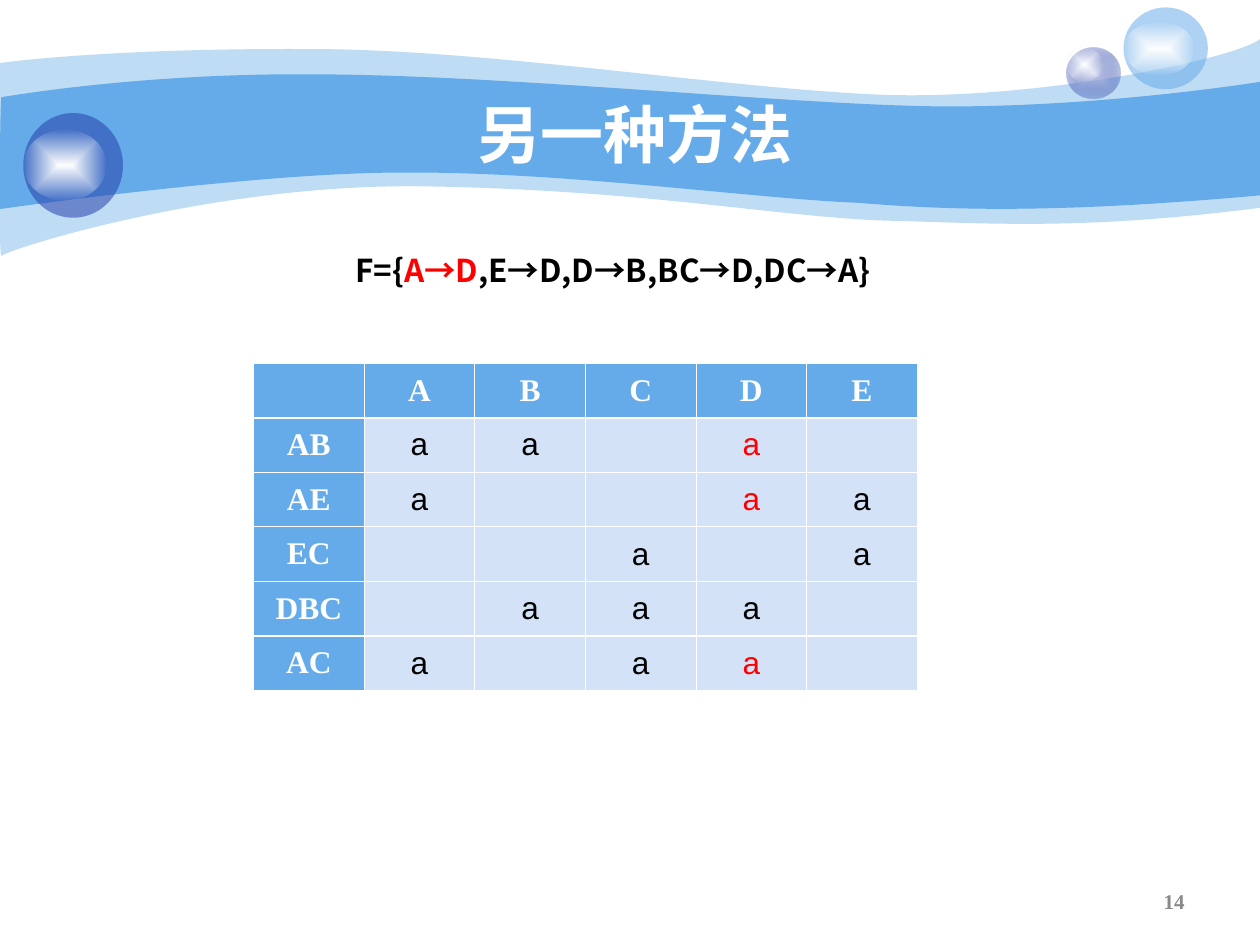
from lxml import etree
from pptx import Presentation
from pptx import util as u
from pptx.dml.color import RGBColor
from pptx.enum import shapes, text
from pptx.oxml import ns

WHITE = RGBColor(0xFF, 0xFF, 0xFF)
BLACK = RGBColor(0, 0, 0)
RED = RGBColor(0xFF, 0, 0)
GREY = RGBColor(0x89, 0x89, 0x89)
SKY = RGBColor(0x65, 0xAA, 0xE9)
PALE = RGBColor(0xD3, 0xE2, 0xF7)
NAVY = RGBColor(0x23, 0x3D, 0xA9)
LAVENDER = RGBColor(0xC7, 0xCE, 0xE9)

CJK = "Noto Sans CJK SC"
TITLE = dict(size=u.Pt(36), name="Arial", bold=True)
FORMULA = dict(size=u.Pt(18), name=CJK, bold=True)
HEADING = dict(size=u.Pt(18), name="Times New Roman", bold=True)
MARK = dict(size=u.Pt(18), name="Arial", bold=False)
PAGE = dict(size=u.Pt(12), name="Times New Roman", bold=True)

# Each edge: start point, then cubic segments (two controls and an end), in cm
OUTER_WAVE = [
    [(0, 1.27),
     (0.61, 1.19), (2.72, 0.97), (6.27, 0.99),
     (9.8, 0.99), (14.6, 1.78), (17.75, 1.91),
     (20.88, 2.03), (24.89, 1.19), (25.4, 0.79)],
    [(25.4, 4.19),
     (21.79, 4.65), (19.99, 4.5), (17.91, 4.45),
     (15.8, 4.39), (13.08, 3.84), (8.71, 3.76),
     (4.37, 3.66), (0.1, 5.05), (0.03, 5.16),
     (-0.03, 5.28), (0, 1.91), (0, 1.27)],
]
INNER_WAVE = [
    [(0.03, 1.96),
     (0.05, 1.96), (2.79, 1.47), (6.3, 1.5),
     (9.8, 1.5), (15.11, 2.03), (18.24, 2.13),
     (21.36, 2.24), (24.79, 1.75), (25.4, 1.65)],
    [(25.4, 3.94),
     (21.67, 4.27), (19.43, 4.27), (17.32, 4.09),
     (15.21, 4.01), (11.35, 3.45), (8.05, 3.48),
     (5.16, 3.48), (-0.05, 4.22), (-0.03, 4.22),
     (0, 4.22), (0, 1.96), (0.03, 1.96)],
]

ATTRIBUTES = "ABCDE"
# Relation schema, attributes marked "a", attributes marked in red
SCHEMAS = [
    ("AB", "ABD", "D"),
    ("AE", "ADE", "D"),
    ("EC", "CE", ""),
    ("DBC", "BCD", ""),
    ("AC", "ACD", "D"),
]
THICK_RULES = (1, 5)  # horizontal rules, counted from the table's top


def child(parent, tag, **attributes):
    return etree.SubElement(parent, ns.qn(tag), {k: str(v) for k, v in attributes.items()})


def add_color(parent, color, alpha=100):
    srgb = child(parent, "a:srgbClr", val=color)
    if alpha < 100:
        child(srgb, "a:alpha", val=alpha * 1000)


def set_fill(shape, color, alpha=100):
    shape.shadow.inherit = False
    shape.line.fill.background()
    shape.fill.solid()
    shape.fill.fore_color.rgb = color
    if alpha < 100:
        srgb = shape.element.spPr.find(ns.qn("a:solidFill")).find(ns.qn("a:srgbClr"))
        child(srgb, "a:alpha", val=alpha * 1000)


def set_glow(shape, center, edge, edge_alpha):
    """Fill with a gradient that spreads from the centre."""
    set_fill(shape, center)
    solid = shape.element.spPr.find(ns.qn("a:solidFill"))
    glow = etree.Element(ns.qn("a:gradFill"), rotWithShape="1")
    stops = child(glow, "a:gsLst")
    add_color(child(stops, "a:gs", pos=0), center)
    add_color(child(stops, "a:gs", pos=100000), edge, edge_alpha)
    child(child(glow, "a:path", path="rect"), "a:fillToRect", l=50000, t=50000, r=50000, b=50000)
    solid.getparent().replace(solid, glow)


def bend(lines):
    """Turn each three straight segments into one cubic curve."""
    for i in range(0, len(lines), 3):
        curve = etree.Element(ns.qn("a:cubicBezTo"))
        lines[i].addprevious(curve)
        for line in lines[i:i + 3]:
            curve.append(line[0])
            line.getparent().remove(line)


def add_wave(slide, edges, color, alpha=100):
    start, *rest = [(u.Cm(x), u.Cm(y)) for edge in edges for x, y in edge]
    builder = slide.shapes.build_freeform(*start, scale=1.0)
    builder.add_line_segments(rest, close=True)
    wave = builder.convert_to_shape()
    lines = list(wave.element.iter(ns.qn("a:lnTo")))
    right_side = len(edges[0]) - 1  # the one segment that stays straight
    bend(lines[:right_side])
    bend(lines[right_side + 1:])
    set_fill(wave, color, alpha)


def add_ball(slide, x, y, w, h):
    return slide.shapes.add_shape(shapes.MSO_SHAPE.OVAL, *map(u.Cm, (x, y, w, h)))


def add_bubbles(slide):
    set_glow(add_ball(slide, 21.51, 0.96, 1.07, 1.02), LAVENDER, NAVY, 31)
    set_glow(add_ball(slide, 21.51, 0.96, 0.71, 0.69), WHITE, WHITE, 0)
    for body, shine, color in (
        ((22.65, 0.15, 1.7, 1.65), (22.65, 0.43, 1.42, 1.09), SKY),
        ((0.47, 2.28, 2.01, 2.11), (0.47, 2.62, 1.68, 1.42), NAVY),
    ):
        set_fill(add_ball(slide, *body), color, 53)
        set_glow(add_ball(slide, *shine), WHITE, WHITE, 0)


def add_run(paragraph, words, style, color):
    run = paragraph.add_run()
    run.text = words
    for key, value in style.items():
        setattr(run.font, key, value)
    run.font.color.rgb = color


def add_title(slide, words):
    title = slide.shapes.title
    title.left, title.top, title.width, title.height = map(u.Cm, (2.54, 1.9, 20.52, 1.57))
    title.element.getparent().append(title.element)  # in front of the waves
    frame = title.text_frame
    frame.auto_size = text.MSO_AUTO_SIZE.NONE
    frame.vertical_anchor = text.MSO_ANCHOR.MIDDLE
    frame.paragraphs[0].alignment = text.PP_ALIGN.CENTER
    add_run(frame.paragraphs[0], words, TITLE, WHITE)


def add_line_of_text(slide, box, runs, style, align, anchor):
    frame = slide.shapes.add_textbox(*map(u.Cm, box)).text_frame
    frame.word_wrap = True
    frame.vertical_anchor = anchor
    frame.paragraphs[0].alignment = align
    for words, color in runs:
        add_run(frame.paragraphs[0], words, style, color)


def format_cell(cell, row, words, style, color, fill):
    cell.vertical_anchor = text.MSO_ANCHOR.MIDDLE
    cell.margin_left = cell.margin_right = u.Cm(0.18)
    rules = {"a:lnL": False, "a:lnR": False,
             "a:lnT": row in THICK_RULES, "a:lnB": row + 1 in THICK_RULES}
    for side, thick in rules.items():
        line = child(cell._tc.get_or_add_tcPr(), side, w=u.Pt(1.47 if thick else 0.45))
        add_color(child(line, "a:solidFill"), WHITE)
    cell.fill.solid()
    cell.fill.fore_color.rgb = fill
    paragraph = cell.text_frame.paragraphs[0]
    paragraph.alignment = text.PP_ALIGN.CENTER
    if words:
        add_run(paragraph, words, style, color)


def add_tableau(slide):
    rows, columns = len(SCHEMAS) + 1, len(ATTRIBUTES) + 1
    table = slide.shapes.add_table(
        rows, columns, *map(u.Cm, (5.11, 7.32, 2.23 * columns, 1.1 * rows))).table
    for column, heading in enumerate(["", *ATTRIBUTES]):
        format_cell(table.cell(0, column), 0, heading, HEADING, WHITE, SKY)
    for row, (schema, marked, red) in enumerate(SCHEMAS, 1):
        format_cell(table.cell(row, 0), row, schema, HEADING, WHITE, SKY)
        for column, attribute in enumerate(ATTRIBUTES, 1):
            format_cell(table.cell(row, column), row, "a" if attribute in marked else "",
                        MARK, RED if attribute in red else BLACK, PALE)


def main():
    deck = Presentation()
    deck.slide_width, deck.slide_height = u.Cm(25.4), u.Cm(19.05)
    slide = deck.slides.add_slide(deck.slide_layouts[5])

    # Banner
    add_wave(slide, OUTER_WAVE, SKY, 41)
    add_wave(slide, INNER_WAVE, SKY)
    add_bubbles(slide)
    add_title(slide, "另一种方法")

    # Page number
    add_line_of_text(slide, (18.21, 17.65, 5.92, 1.02), [("14", GREY)], PAGE,
                     text.PP_ALIGN.RIGHT, text.MSO_ANCHOR.MIDDLE)

    # Dependencies and their tableau
    add_tableau(slide)
    dependencies = [("F={", BLACK), ("A→D", RED), (",E→D,D→B,BC→D,DC→A}", BLACK)]
    add_line_of_text(slide, (6.91, 4.93, 11.2, 1.02), dependencies, FORMULA,
                     text.PP_ALIGN.LEFT, text.MSO_ANCHOR.TOP)

    deck.save("out.pptx")


if __name__ == "__main__":
    main()
